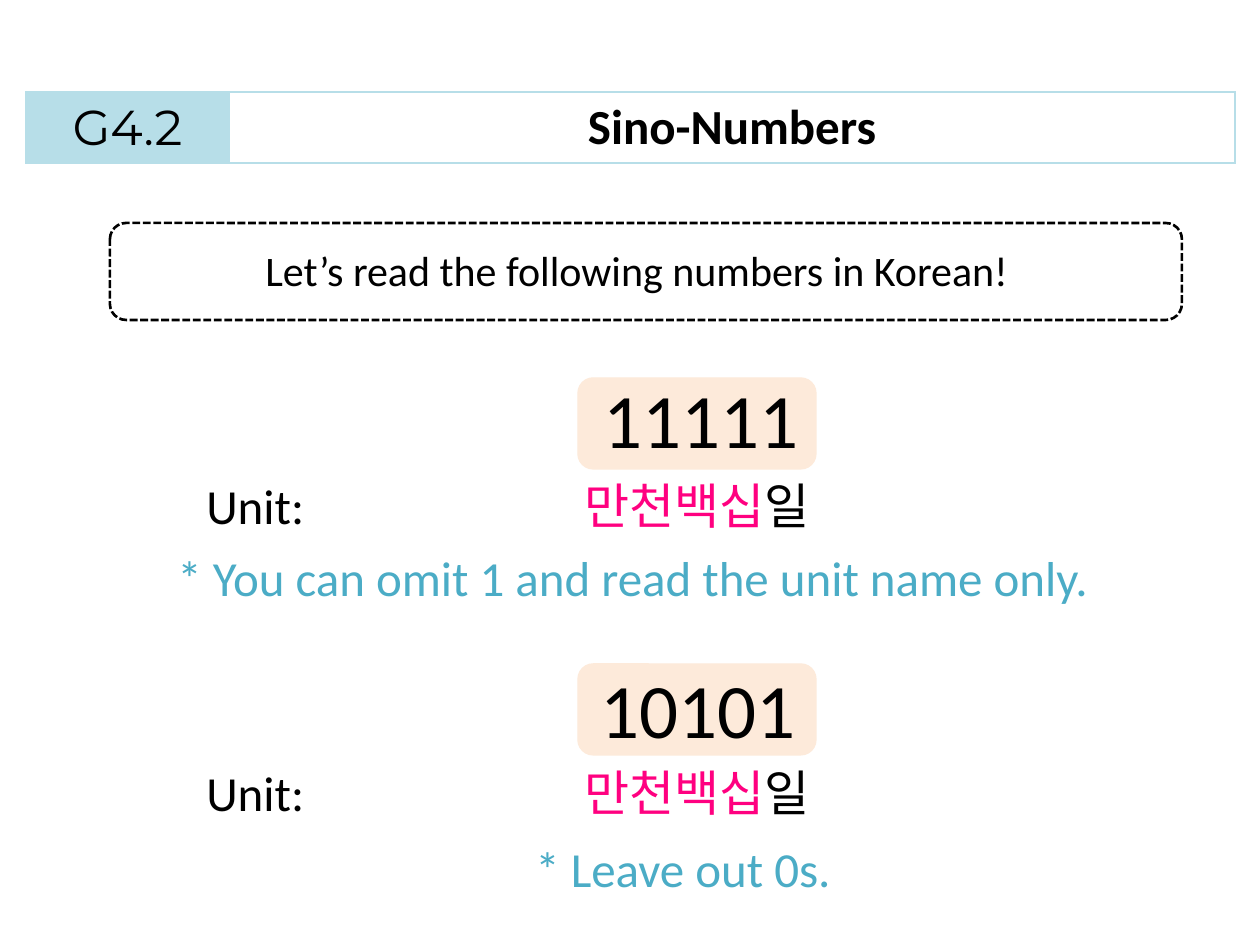
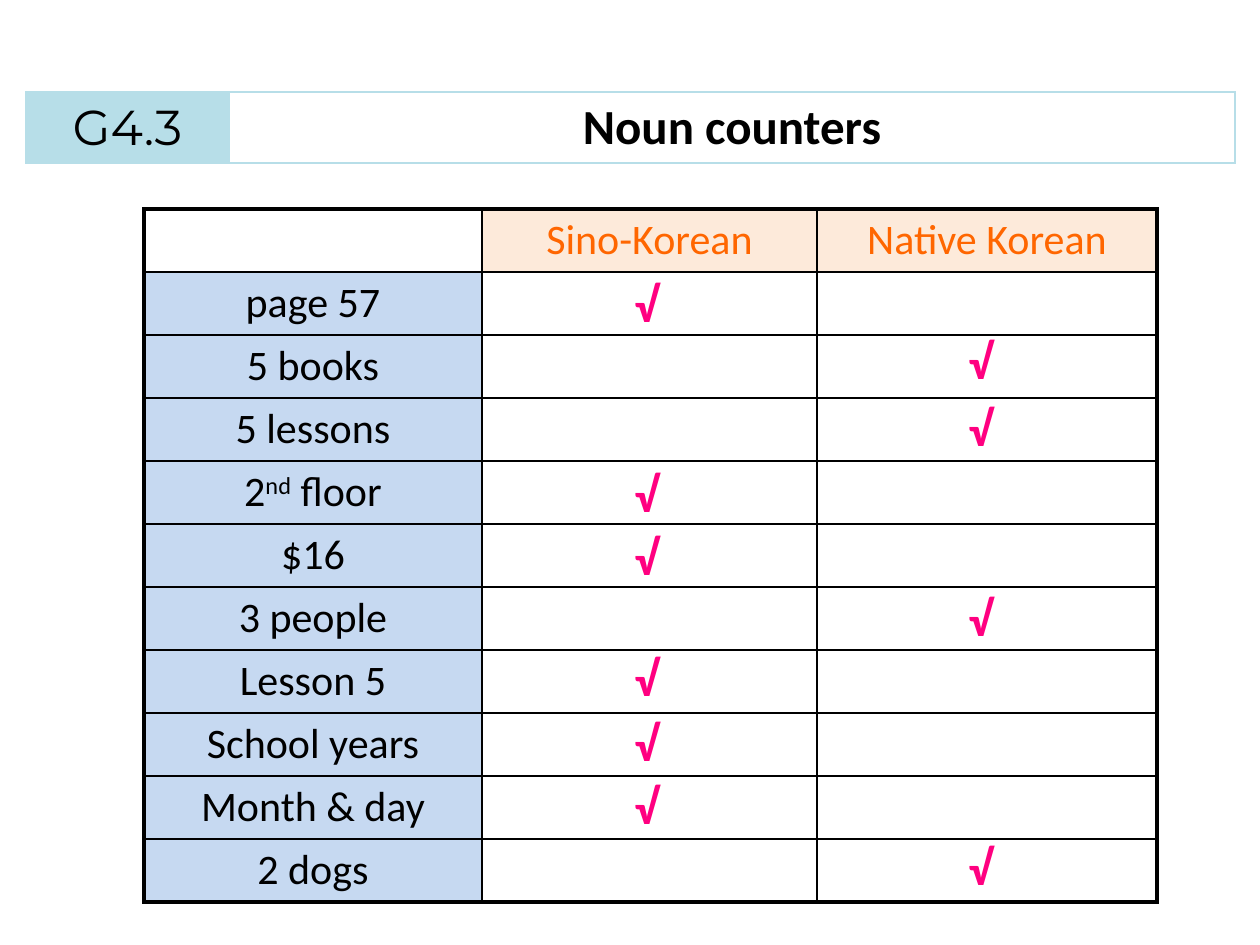
from lxml import etree
from pptx import Presentation
from pptx import util as u
from pptx.dml.color import RGBColor
from pptx.enum import dml, shapes, text
from pptx.oxml import ns

PX = 914400 / 126  # EMU in one px

BLACK = RGBColor(0x00, 0x00, 0x00)
WHITE = RGBColor(0xFF, 0xFF, 0xFF)
BAND = RGBColor(0xB7, 0xDE, 0xE8)
PEACH = RGBColor(0xFD, 0xEA, 0xDA)
ORANGE = RGBColor(0xFF, 0x66, 0x00)
PALE_BLUE = RGBColor(0xC6, 0xD9, 0xF1)
PINK = RGBColor(0xFF, 0x00, 0x80)
TEAL = RGBColor(0x4B, 0xAC, 0xC6)

BODY_FONT = "Calibri"
NUMBER_FONT = "Montserrat"
CENTER = text.PP_ALIGN.CENTER

# Counter table grid; "sino" and "native" are its two answer columns
ROW_HEIGHT = 63
COLUMN_WIDTHS = [338, 335, 340]
MARK_LEFT = {"sino": 530, "native": 864}

# Each counter: its runs, its answer column, top of its check mark
COUNTERS = [
    (["page 57"], "sino", 267),
    (["5 books"], "native", 324),
    (["5 lessons"], "native", 391),
    (["2", "nd", " floor"], "sino", 457),
    (["$16"], "sino", 520),
    (["3 people"], "native", 581),
    (["Lesson 5"], "sino", 641),
    (["School years"], "sino", 706),
    (["Month & day"], "sino", 769),
    (["2 dogs"], "native", 830),
]


def emu(px):
    return u.Emu(round(px * PX))


def box(left, top, width, height):
    return [emu(px) for px in (left, top, width, height)]


def add_run(paragraph, words, size, color=BLACK, bold=False, font=BODY_FONT):
    run = paragraph.add_run()
    run.text = words
    run.font.size = u.Pt(size)
    run.font.name = font
    run.font.bold = bold
    run.font.color.rgb = color
    return run


def add_label(slide, place, runs, size, bold=False, align=None, tab=None):
    """Text box with one line of (words, color) runs."""
    frame = slide.shapes.add_textbox(*box(*place)).text_frame
    frame.word_wrap = True
    line = frame.paragraphs[0]
    line.alignment = align
    if tab:
        stops = etree.SubElement(line._p.get_or_add_pPr(), ns.qn("a:tabLst"))
        etree.SubElement(stops, ns.qn("a:tab"), pos=str(emu(tab)), algn="l")
    for words, color in runs:
        add_run(line, words, size, color, bold)


def add_rounded(slide, place, line_color, line_width, fill=None, dash=None):
    panel = slide.shapes.add_shape(
        shapes.MSO_SHAPE.ROUNDED_RECTANGLE, *box(*place))
    panel.shadow.inherit = False
    if fill is None:
        panel.fill.background()
    else:
        panel.fill.solid()
        panel.fill.fore_color.rgb = fill
    panel.line.color.rgb = line_color
    panel.line.width = u.Pt(line_width)
    if dash:
        panel.line.dash_style = dash


def add_grid(slide, left, top, widths, row_height, row_count):
    """Plain table without the banded style."""
    grid = slide.shapes.add_table(
        row_count, len(widths),
        *box(left, top, sum(widths), row_height * row_count)).table
    grid.first_row = grid.horz_banding = False
    for column, width in zip(grid.columns, widths):
        column.width = emu(width)
    for row in grid.rows:
        row.height = emu(row_height)
    return grid


def style_cell(cell, fill, color, widths):
    """Border widths come in the order left, right, top, bottom."""
    cell.margin_top = cell.margin_bottom = emu(5)
    cell.vertical_anchor = text.MSO_ANCHOR.MIDDLE
    cell.text_frame.paragraphs[0].alignment = CENTER
    properties = cell._tc.get_or_add_tcPr()
    for side, width in zip("LRTB", widths):
        border = etree.SubElement(
            properties, ns.qn(f"a:ln{side}"), w=str(u.Pt(width)))
        paint = etree.SubElement(border, ns.qn("a:solidFill"))
        etree.SubElement(paint, ns.qn("a:srgbClr"), val=str(color))
    cell.fill.solid()
    cell.fill.fore_color.rgb = fill


def add_heading(slide, section, topic):
    """Section number on a band, with the topic beside it."""
    heading = add_grid(slide, 26, 92, [203, 1006], 71, 1)
    section_cell, topic_cell = heading.cell(0, 0), heading.cell(0, 1)
    style_cell(section_cell, BAND, BAND, [1] * 4)
    style_cell(topic_cell, WHITE, BAND, [1] * 4)
    add_run(section_cell.text_frame.paragraphs[0], section, 28,
            font=NUMBER_FONT)
    add_run(topic_cell.text_frame.paragraphs[0], topic, 28, bold=True)


def add_number(slide, panel_top, digits, digits_place, unit_top):
    """Number on a peach panel, with its reading underneath."""
    add_rounded(slide, (578, panel_top, 238, 91), PEACH, 0.75, fill=PEACH)
    add_label(slide, digits_place, [(digits, BLACK)], 44)
    add_label(slide, (194, unit_top, 694, 72),
              [("Unit:\t", BLACK), ("만천백십", PINK), ("일", BLACK)],
              28, tab=378)


def add_counter_table(slide):
    row_count = len(COUNTERS) + 1
    grid = add_grid(slide, 144, 209, COLUMN_WIDTHS, ROW_HEIGHT, row_count)
    last_row, last_column = row_count - 1, len(COLUMN_WIDTHS) - 1
    contents = {(0, 1): ["Sino-Korean"], (0, 2): ["Native Korean"]}
    for row, (runs, _, _) in enumerate(COUNTERS, start=1):
        contents[row, 0] = runs

    for row in range(row_count):
        for column in range(last_column + 1):
            # Thick lines run around the outside only
            outer = (column == 0, column == last_column,
                     row == 0, row == last_row)
            is_header, is_counter = row == 0 < column, column == 0 < row
            fill = PEACH if is_header else PALE_BLUE if is_counter else WHITE
            cell = grid.cell(row, column)
            style_cell(cell, fill, BLACK, [2.25 if o else 1 for o in outer])
            for words in contents.get((row, column), []):
                run = add_run(cell.text_frame.paragraphs[0], words, 24,
                              ORANGE if is_header else BLACK)
                if words == "nd":
                    run.font._element.set("baseline", "30000")


def build_sino_numbers(slide):
    add_heading(slide, "G4.2", "Sino-Numbers")
    # Task
    add_rounded(slide, (110, 223, 1072, 97), BLACK, 1.5,
                dash=dml.MSO_LINE.SQUARE_DOT)
    add_label(slide, (253, 238, 781, 63),
              [("Let’s read the following numbers in Korean!", BLACK)], 24)
    # Numbers and the rule for each
    add_number(slide, 378, "11111", (591, 365, 231, 106), 469)
    add_label(slide, (165, 541, 999, 72),
              [("* You can omit 1 and read the unit name only.", TEAL)], 28)
    add_number(slide, 664, "10101", (588, 655, 223, 106), 756)
    add_label(slide, (523, 832, 324, 72), [("* Leave out 0s.", TEAL)], 28)


def build_noun_counters(slide):
    add_heading(slide, "G4.3", "Noun counters")
    add_counter_table(slide)
    # Check marks
    for _, answer, top in COUNTERS:
        add_label(slide, (MARK_LEFT[answer], top, 233, 72), [("√", PINK)],
                  28, bold=True, align=CENTER)


def main():
    deck = Presentation()
    deck.slide_width, deck.slide_height = emu(1260), emu(945)
    blank = deck.slide_layouts[6]
    for build in (build_sino_numbers, build_noun_counters):
        build(deck.slides.add_slide(blank))
    deck.save("out.pptx")


if __name__ == "__main__":
    main()
